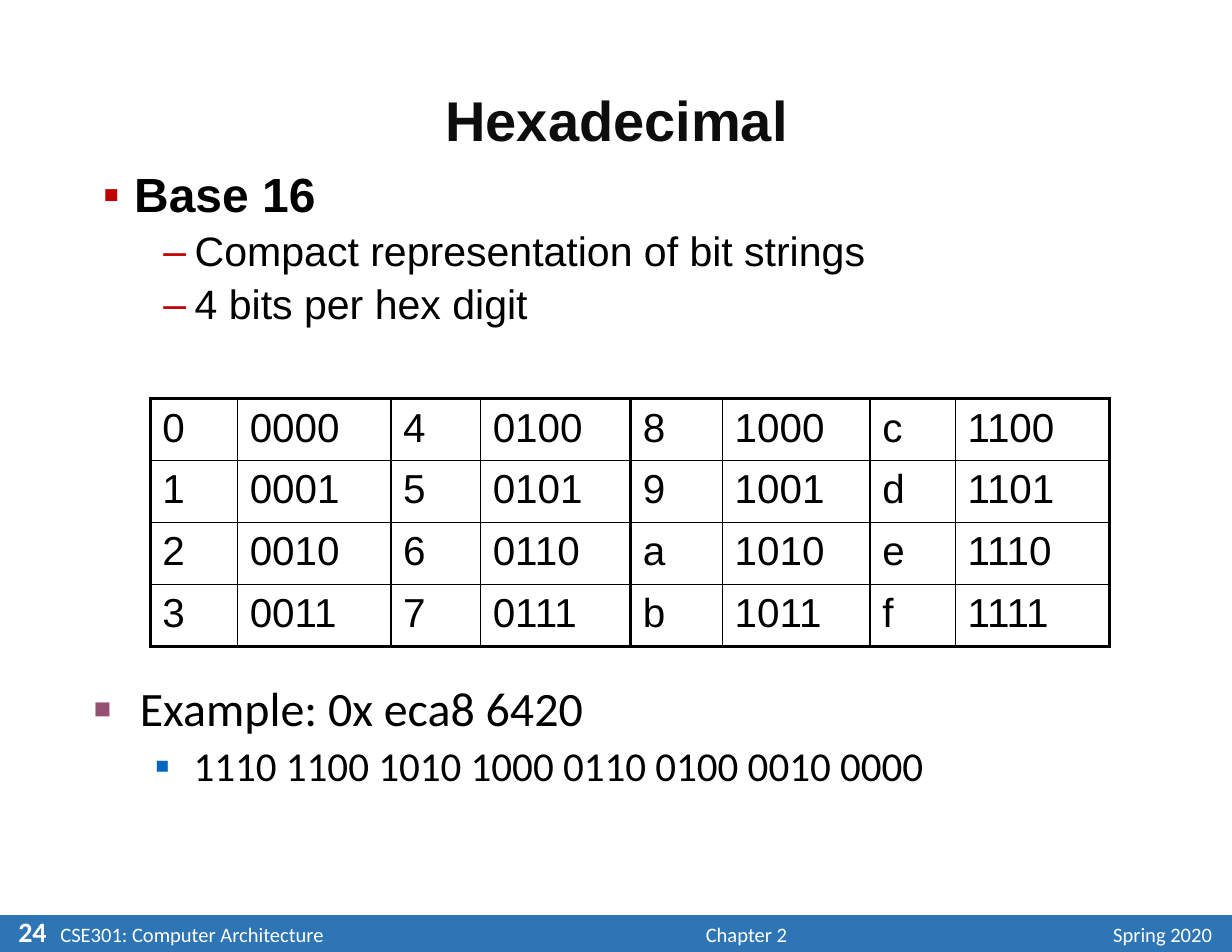
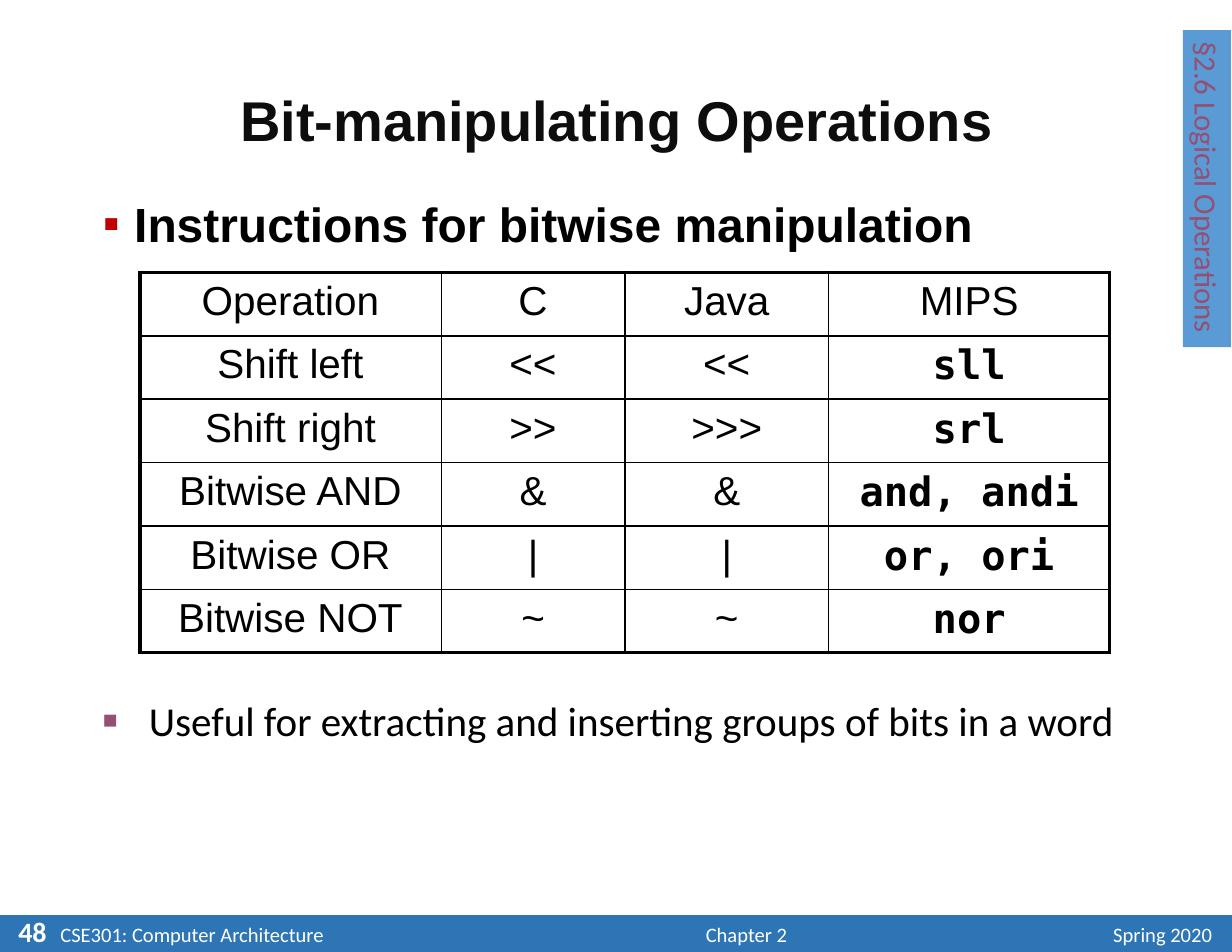
import pptx
import pptx.dml.color
import pptx.enum.shapes
import pptx.enum.text
import pptx.oxml
import pptx.oxml.ns
import pptx.util
from pptx.util import Inches

ALIGN = pptx.enum.text.PP_ALIGN
ANCHOR = pptx.enum.text.MSO_ANCHOR

BLACK, WHITE, TITLE_INK = "000000", "FFFFFF", "0D0D0D"
BAND_BLUE, TAB_BLUE = "2E75B6", "5B9BD5"
RED, PLUM, LINK_BLUE = "C00000", "954F72", "0563C1"
HEADING_FONT, BODY_FONT, CODE_FONT = "Arial", "Calibri", "DejaVu Sans Mono"

SLIDE_WIDTH, SLIDE_HEIGHT = 11, 8.5
TITLE_BOX = (0.76, 0.45, 9.49, 1.3)
BAND_BOX = (0, 8.17, SLIDE_WIDTH, 0.33)

# Bullet styles: level, left margin, hanging indent, character, colour, size in percent
MAIN_BULLET = (0, 0.28, 0.28, "▪", RED, 100)
DASH_BULLET = (1, 0.82, 0.28, "‒", RED, 100)
NOTE_BULLET = (0, 0.41, 0.41, "■", PLUM, 60)
SUB_NOTE_BULLET = (1, 0.89, 0.34, "■", LINK_BLUE, 55)


def rgb(hex_string):
    return pptx.dml.color.RGBColor.from_string(hex_string)


def place(box):
    return [Inches(length) for length in box]


def set_font(paragraph, size, name, color=BLACK, bold=False):
    font = paragraph.font
    font.size = pptx.util.Pt(size)
    font.name = name
    font.bold = bold
    font.color.rgb = rgb(color)


def append_xml(parent, xml):
    parent.append(pptx.oxml.parse_xml(xml))


def add_bullet(paragraph, style):
    level, margin, hanging, character, color, percent = style
    namespace = pptx.oxml.ns.nsdecls("a")
    paragraph.level = level
    properties = paragraph._p.get_or_add_pPr()
    properties.set("marL", str(Inches(margin)))
    properties.set("indent", str(-Inches(hanging)))
    append_xml(properties, f'<a:buClr {namespace}><a:srgbClr val="{color}"/></a:buClr>')
    append_xml(properties, f'<a:buSzPct {namespace} val="{percent * 1000}"/>')
    append_xml(properties, f'<a:buFont {namespace} typeface="Arial"/>')
    append_xml(properties, f'<a:buChar {namespace} char="{character}"/>')


def add_label(slide, box, text, size, align=ALIGN.LEFT, bold=False, wrap=True):
    frame = slide.shapes.add_textbox(*place(box)).text_frame
    frame.word_wrap = wrap
    paragraph = frame.paragraphs[0]
    paragraph.text = text
    paragraph.alignment = align
    set_font(paragraph, size, BODY_FONT, WHITE, bold)


def add_bullets(slide, box, items, font_name, line_spacing=0.9, space_before=5.5):
    """Items are (text, bullet style, size, bold)."""
    frame = slide.shapes.add_textbox(*place(box)).text_frame
    frame.word_wrap = True
    for index, (text, style, size, bold) in enumerate(items):
        paragraph = frame.add_paragraph() if index else frame.paragraphs[0]
        paragraph.text = text
        add_bullet(paragraph, style)
        paragraph.line_spacing = line_spacing
        if index:
            paragraph.space_before = pptx.util.Pt(space_before)
        set_font(paragraph, size, font_name, bold=bold)


def add_block(slide, box, color):
    block = slide.shapes.add_shape(pptx.enum.shapes.MSO_SHAPE.RECTANGLE, *place(box))
    block.shadow.inherit = False
    block.fill.solid()
    block.fill.fore_color.rgb = rgb(color)
    block.line.fill.background()
    return block


def add_footer(slide, box, number):
    left, top, width, _ = box
    add_block(slide, box, BAND_BLUE)
    text_top = top + 0.01
    add_label(slide, (left + 5.33, text_top, 2.67, 0.32), "Chapter 2", 13.2, ALIGN.CENTER)
    add_label(slide, (left + width - 1.75, text_top, 1.67, 0.32), "Spring 2020", 13.2, ALIGN.RIGHT)
    add_label(slide, (left + 0.44, text_top, 2.62, 0.32), "CSE301: Computer Architecture",
              13.2, wrap=False)
    add_label(slide, (left + 0.04, top - 0.05, 0.5, 0.34), number, 18, ALIGN.CENTER, bold=True)


def add_title(slide, box, text):
    title = slide.shapes.title
    title.left, title.top, title.width, title.height = place(box)
    frame = title.text_frame
    frame.text = text
    frame.auto_size = pptx.enum.text.MSO_AUTO_SIZE.NONE
    frame.vertical_anchor = ANCHOR.MIDDLE
    paragraph = frame.paragraphs[0]
    paragraph.alignment = ALIGN.CENTER
    paragraph.line_spacing = 0.9
    set_font(paragraph, 36, HEADING_FONT, TITLE_INK, bold=True)


def add_cell_border(cell, edge, points):
    append_xml(cell._tc.get_or_add_tcPr(),
               f'<a:ln{edge} {pptx.oxml.ns.nsdecls("a")} w="{pptx.util.Pt(points)}">'
               f'<a:solidFill><a:srgbClr val="{BLACK}"/></a:solidFill></a:ln{edge}>')


def add_ruled_table(slide, box, rows, widths, column_rules, row_rules, align, is_code):
    """Rules give the point width of each grid line; is_code(row, column) picks code cells."""
    table = slide.shapes.add_table(len(rows), len(widths), *place(box)).table
    table.first_row = table.horz_banding = False
    for column, width in zip(table.columns, widths):
        column.width = Inches(width)
    for row in table.rows:
        row.height = Inches(box[3] / len(rows))
    for row_index, texts in enumerate(rows):
        for column_index, text in enumerate(texts):
            cell = table.cell(row_index, column_index)
            cell.margin_left = cell.margin_right = Inches(0.11)
            cell.margin_top = cell.margin_bottom = Inches(0.06)
            add_cell_border(cell, "L", column_rules[column_index])
            add_cell_border(cell, "R", column_rules[column_index + 1])
            add_cell_border(cell, "T", row_rules[row_index])
            add_cell_border(cell, "B", row_rules[row_index + 1])
            cell.fill.background()
            paragraph = cell.text_frame.paragraphs[0]
            paragraph.text = text
            paragraph.alignment = align
            code = is_code(row_index, column_index)
            set_font(paragraph, 26, CODE_FONT if code else HEADING_FONT, bold=code)


def add_section_tab(slide, box, text):
    """Box is the frame before the quarter turn."""
    tab = add_block(slide, box, TAB_BLUE)
    tab.rotation = 90
    frame = tab.text_frame
    frame.word_wrap = False
    frame.vertical_anchor = ANCHOR.TOP
    paragraph = frame.paragraphs[0]
    paragraph.text = text
    paragraph.alignment = ALIGN.LEFT
    set_font(paragraph, 19.8, BODY_FONT, PLUM)


def add_slide(presentation, title, number):
    slide = presentation.slides.add_slide(presentation.slide_layouts.get_by_name("Title Only"))
    add_footer(slide, BAND_BOX, number)
    add_title(slide, TITLE_BOX, title)
    return slide


def build_hexadecimal(presentation):
    slide = add_slide(presentation, "Hexadecimal", "24")
    add_bullets(slide, (0.82, 1.48, 9.95, 1.9), [
        ("Base 16", MAIN_BULLET, 30.8, True),
        ("Compact representation of bit strings", DASH_BULLET, 26.4, False),
        ("4 bits per hex digit", DASH_BULLET, 26.4, False),
    ], HEADING_FONT)
    digit_rows = []
    for first in range(4):
        digits = range(first, 16, 4)
        digit_rows.append([text for digit in digits for text in (f"{digit:x}", f"{digit:04b}")])
    add_ruled_table(slide, (1.34, 3.56, 8.57, 2.2), digit_rows,
                    [0.78, 1.37, 0.8, 1.34, 0.82, 1.32, 0.76, 1.38],
                    [2.25, 1, 1.5, 1, 1.5, 1, 1.5, 1, 2.25], [2.25, 1, 1, 1, 2.25],
                    ALIGN.LEFT, lambda row, column: False)
    add_bullets(slide, (0.74, 6.07, 9.95, 1.39), [
        ("Example: 0x eca8 6420", NOTE_BULLET, 30.8, False),
        ("1110 1100 1010 1000 0110 0100 0010 0000", SUB_NOTE_BULLET, 26.4, False),
    ], BODY_FONT)


def build_bit_operations(presentation):
    slide = add_slide(presentation, "Bit-manipulating Operations", "48")
    add_bullets(slide, (0.82, 1.48, 9.95, 0.83), [
        ("Instructions for bitwise manipulation", MAIN_BULLET, 30.8, True),
    ], HEADING_FONT, line_spacing=1.4)
    operations = [
        ("Operation", "C", "Java", "MIPS"),
        ("Shift left", "<<", "<<", "sll"),
        ("Shift right", ">>", ">>>", "srl"),
        ("Bitwise AND", "&", "&", "and, andi"),
        ("Bitwise OR", "|", "|", "or, ori"),
        ("Bitwise NOT", "~", "~", "nor"),
    ]
    add_ruled_table(slide, (1.25, 2.43, 8.66, 3.4), operations, [2.69, 1.64, 1.82, 2.51],
                    [2.25, 1, 1, 1, 2.25], [2.25, 1.5, 1, 1, 1, 1, 2.25],
                    ALIGN.CENTER, lambda row, column: row > 0 and column == 3)
    add_bullets(slide, (0.82, 6.16, 9.35, 1.3), [
        ("Useful for extracting and inserting groups of bits in a word", NOTE_BULLET, 26.4, False),
    ], BODY_FONT, line_spacing=1.0)
    add_section_tab(slide, (9.36, 1.47, 2.83, 0.43), "§2.6 Logical Operations")


def main():
    presentation = pptx.Presentation()
    presentation.slide_width = Inches(SLIDE_WIDTH)
    presentation.slide_height = Inches(SLIDE_HEIGHT)
    build_hexadecimal(presentation)
    build_bit_operations(presentation)
    presentation.save("out.pptx")


if __name__ == "__main__":
    main()
